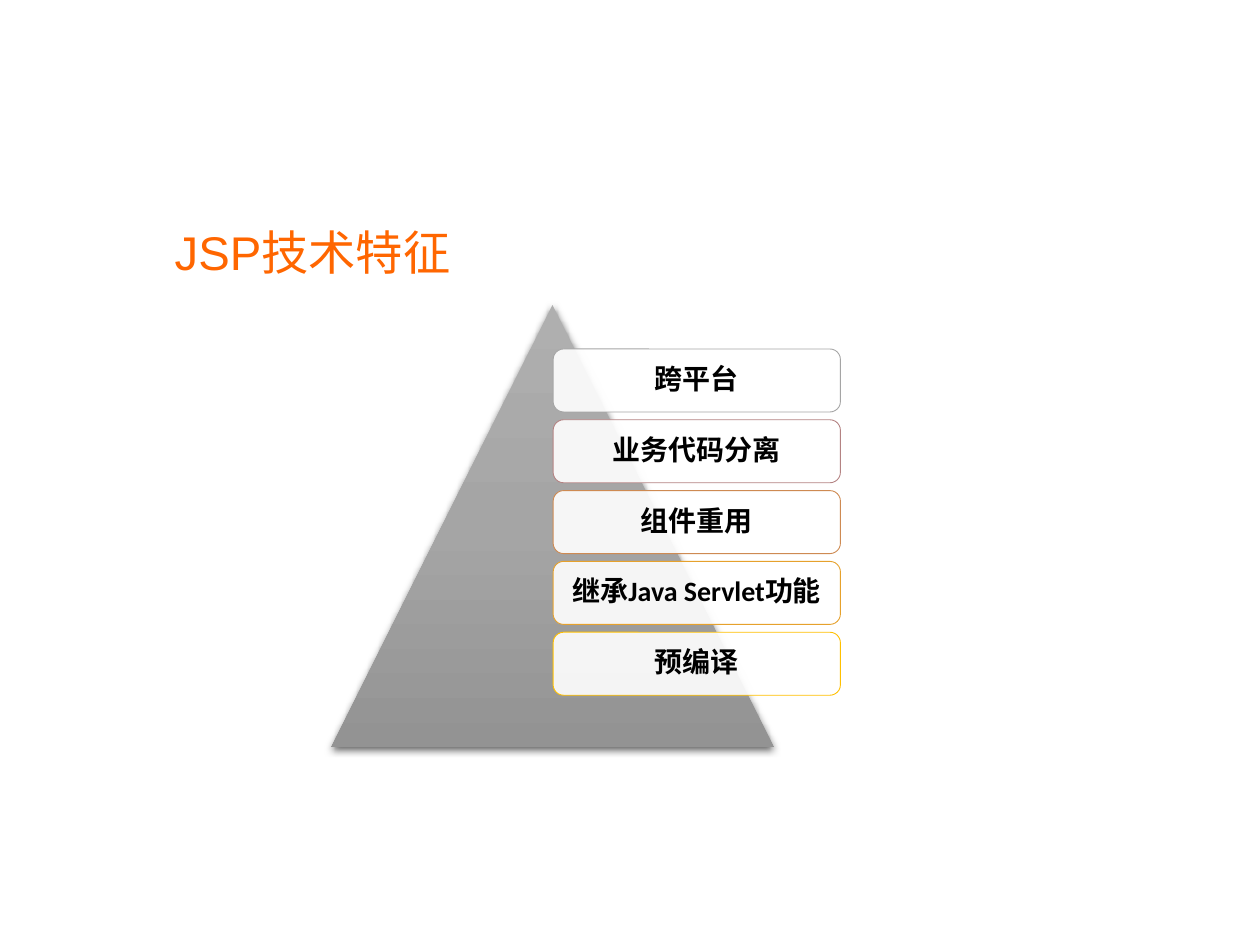
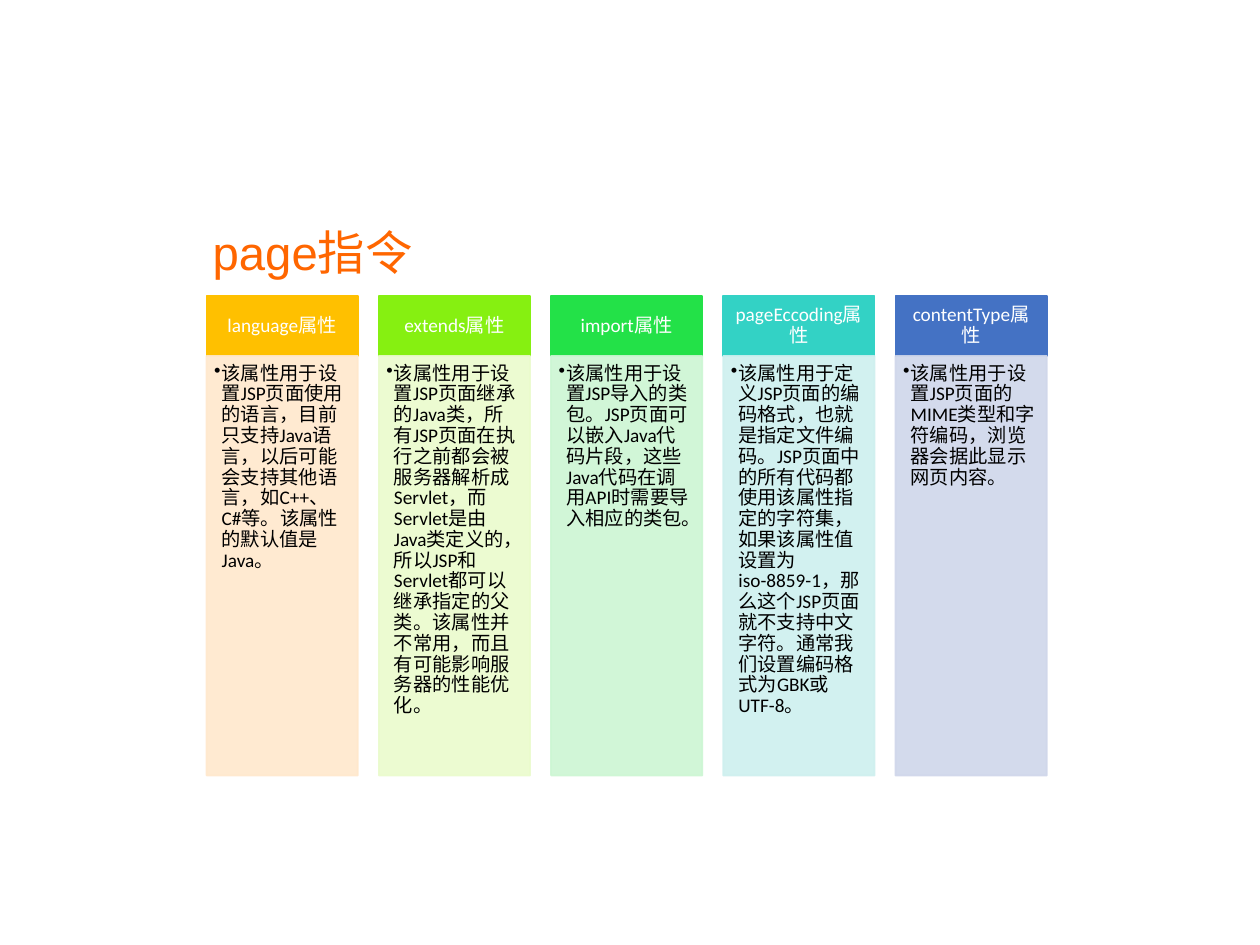
from copy import deepcopy
from dataclasses import dataclass

from lxml.etree import SubElement
from pptx import Presentation
from pptx.dml.color import RGBColor
from pptx.enum.shapes import MSO_SHAPE as Shape
from pptx.enum.text import MSO_ANCHOR as Anchor, PP_ALIGN as Align
from pptx.oxml.ns import qn
from pptx.util import Emu, Inches, Pt

WIDTH, HEIGHT = Inches(10), Inches(7.5)
COLUMN, ROW = WIDTH / 100, HEIGHT / 75

COLORS = {
    "title": "FF6600", "text": "000000", "white": "FFFFFF",
    "peak": "AFAFAF", "middle": "A5A5A5", "base": "939393",
    "portable": "A5A5A5", "separated": "B48383", "reusable": "CE8A52",
    "inherited": "E6A12C", "compiled": "FFC000",
    "language": "FFC000", "language_body": "FFE8CC",
    "extends": "86F011", "extends_body": "EAFBCC",
    "import": "23E148", "import_body": "CCF6D3",
    "encoding": "33D2C5", "encoding_body": "CEF0EF",
    "content": "4472C4", "content_body": "CFD6EA",
}


@dataclass(frozen=True)
class Area:
    """A block of the grid, in columns and rows."""
    left: float
    top: float
    width: float
    height: float

    def emu(self) -> tuple[Emu, ...]:
        """Return the block as slide lengths."""
        return (Emu(round(self.left * COLUMN)), Emu(round(self.top * ROW)),
                Emu(round(self.width * COLUMN)), Emu(round(self.height * ROW)))


@dataclass(frozen=True)
class TextStyle:
    """The look of one kind of text; insets run left, top, right, bottom."""
    font: str
    size: float
    color: str
    insets: tuple[float, float, float, float]
    bold: bool = False
    align: Align = Align.CENTER
    anchor: Anchor = Anchor.MIDDLE
    line_spacing: float = 0.9
    after: float = 0.35
    bullet: bool = False


@dataclass(frozen=True)
class Feature:
    """One feature card on the pyramid."""
    label: str
    color: str


@dataclass(frozen=True)
class Attribute:
    """One attribute column of the page directive."""
    name: str
    color: str
    description: str


TITLE = TextStyle("Arial", 27, "title", (0.07, 0.04, 0.07, 0.04), line_spacing=1, after=0)
CARD = TextStyle("Calibri", 16, "text", (0.06, 0.07, 0.06, 0.07), bold=True)
HEADER = TextStyle("Calibri", 11, "white", (0.09, 0.05, 0.09, 0.05))
BODY = TextStyle("Calibri", 11, "text", (0.06, 0.06, 0.09, 0.1), align=Align.LEFT,
                 anchor=Anchor.TOP, after=0.15, bullet=True)

TITLE_AREA = Area(7.4, 16.1, 34.8, 7.7)
PYRAMID = Area(26.3, 24.2, 35.1, 35.1)
CARD_PITCH, ATTRIBUTE_PITCH = 5.62, 13.67

FEATURES = [
    Feature("跨平台", "portable"),
    Feature("业务代码分离", "separated"),
    Feature("组件重用", "reusable"),
    Feature("继承Java Servlet功能", "inherited"),
    Feature("预编译", "compiled"),
]

ATTRIBUTES = [
    Attribute("language属性", "language",
              "该属性用于设置JSP页面使用的语言，目前只支持Java语言，以后可能会支持其他语言，"
              "如C++、C#等。该属性的默认值是Java。"),
    Attribute("extends属性", "extends",
              "该属性用于设置JSP页面继承的Java类，所有JSP页面在执行之前都会被服务器解析成Servlet，"
              "而Servlet是由Java类定义的，所以JSP和Servlet都可以继承指定的父类。"
              "该属性并不常用，而且有可能影响服务器的性能优化。"),
    Attribute("import属性", "import",
              "该属性用于设置JSP导入的类包。JSP页面可以嵌入Java代码片段，"
              "这些Java代码在调用API时需要导入相应的类包。"),
    Attribute("pageEccoding属性", "encoding",
              "该属性用于定义JSP页面的编码格式，也就是指定文件编码。"
              "JSP页面中的所有代码都使用该属性指定的字符集，如果该属性值设置为iso-8859-1，"
              "那么这个JSP页面就不支持中文字符。通常我们设置编码格式为GBK或UTF-8。"),
    Attribute("contentType属性", "content",
              "该属性用于设置JSP页面的MIME类型和字符编码，浏览器会据此显示网页内容。"),
]


def rgb(name: str) -> RGBColor:
    """Look up a named colour."""
    return RGBColor.from_string(COLORS[name])


def write(shape, text: str, style: TextStyle) -> None:
    """Put one styled paragraph into a shape."""
    frame = shape.text_frame
    frame.text = text
    frame.word_wrap = True
    frame.vertical_anchor = style.anchor
    (frame.margin_left, frame.margin_top,
     frame.margin_right, frame.margin_bottom) = map(Inches, style.insets)
    paragraph = frame.paragraphs[0]
    paragraph.alignment = style.align
    paragraph.line_spacing = style.line_spacing
    paragraph.space_after = Pt(style.size * style.after)
    if style.bullet:
        properties = paragraph._p.get_or_add_pPr()
        properties.set("marL", str(Inches(0.06)))
        properties.set("indent", str(-Inches(0.06)))
        SubElement(properties, qn("a:buChar"), char="•")
    for run in paragraph.runs:
        run.font.name, run.font.size = style.font, Pt(style.size)
        run.font.bold = style.bold
        run.font.color.rgb = rgb(style.color)


def set_opacity(fill_element, percent: int) -> None:
    """Make every solid colour inside an element partly transparent."""
    for color in fill_element.iter(qn("a:srgbClr")):
        SubElement(color, qn("a:alpha"), val=str(percent * 1000))


def add_panel(slide, kind: Shape, area: Area, fill: str, line: str, weight: float):
    """Draw a flat filled and outlined shape."""
    panel = slide.shapes.add_shape(kind, *area.emu())
    panel.shadow.inherit = False
    panel.fill.solid()
    panel.fill.fore_color.rgb = rgb(fill)
    panel.line.color.rgb = rgb(line)
    panel.line.width = Pt(weight)
    return panel


def add_titled_slide(deck, title: str):
    """Add a blank slide with the shared title."""
    slide = deck.slides.add_slide(deck.slide_layouts[6])
    write(slide.shapes.add_textbox(*TITLE_AREA.emu()), title, TITLE)
    return slide


def add_pyramid(slide) -> None:
    """Draw the shaded triangle with its soft shadow."""
    pyramid = slide.shapes.add_shape(Shape.ISOSCELES_TRIANGLE, *PYRAMID.emu())
    pyramid.line.fill.background()
    pyramid.fill.gradient()
    pyramid.fill.gradient_angle = 270
    first = next(pyramid._element.spPr.iter(qn("a:gs")))
    first.addnext(deepcopy(first))
    shades = zip(pyramid.fill.gradient_stops, ("peak", "middle", "base"), (0, 0.5, 1))
    for stop, shade, position in shades:
        stop.color.rgb = rgb(shade)
        stop.position = position
    pyramid.shadow.inherit = False
    effects = pyramid._element.spPr.find(qn("a:effectLst"))
    shadow = SubElement(effects, qn("a:outerShdw"), blurRad=str(Pt(4.5)),
                        dist=str(Pt(1.5)), dir="5400000", algn="ctr", rotWithShape="0")
    black = SubElement(shadow, qn("a:srgbClr"), val=COLORS["text"])
    SubElement(black, qn("a:alpha"), val="63000")


def build_features(deck) -> None:
    """Build the slide of JSP features."""
    slide = add_titled_slide(deck, "JSP技术特征")
    add_pyramid(slide)
    for index, feature in enumerate(FEATURES):
        area = Area(43.9, 27.7 + index * CARD_PITCH, 22.8, 5)
        card = add_panel(slide, Shape.ROUNDED_RECTANGLE, area, "white", feature.color, 0.5)
        set_opacity(card._element.spPr.find(qn("a:solidFill")), 90)
        write(card, feature.label, CARD)


def build_attributes(deck) -> None:
    """Build the slide of page directive attributes."""
    slide = add_titled_slide(deck, "page指令")
    for index, attribute in enumerate(ATTRIBUTES):
        left = 16.4 + index * ATTRIBUTE_PITCH
        header = add_panel(slide, Shape.RECTANGLE, Area(left, 23.5, 12, 4.75),
                           attribute.color, attribute.color, 1)
        write(header, attribute.name, HEADER)
        shade = f"{attribute.color}_body"
        body = add_panel(slide, Shape.RECTANGLE, Area(left, 28.25, 12, 33.3),
                         shade, shade, 1)
        set_opacity(body._element.spPr, 90)
        write(body, attribute.description, BODY)


def main() -> None:
    """Build and save the deck."""
    deck = Presentation()
    deck.slide_width, deck.slide_height = WIDTH, HEIGHT
    build_features(deck)
    build_attributes(deck)
    deck.save("out.pptx")


if __name__ == "__main__":
    main()
